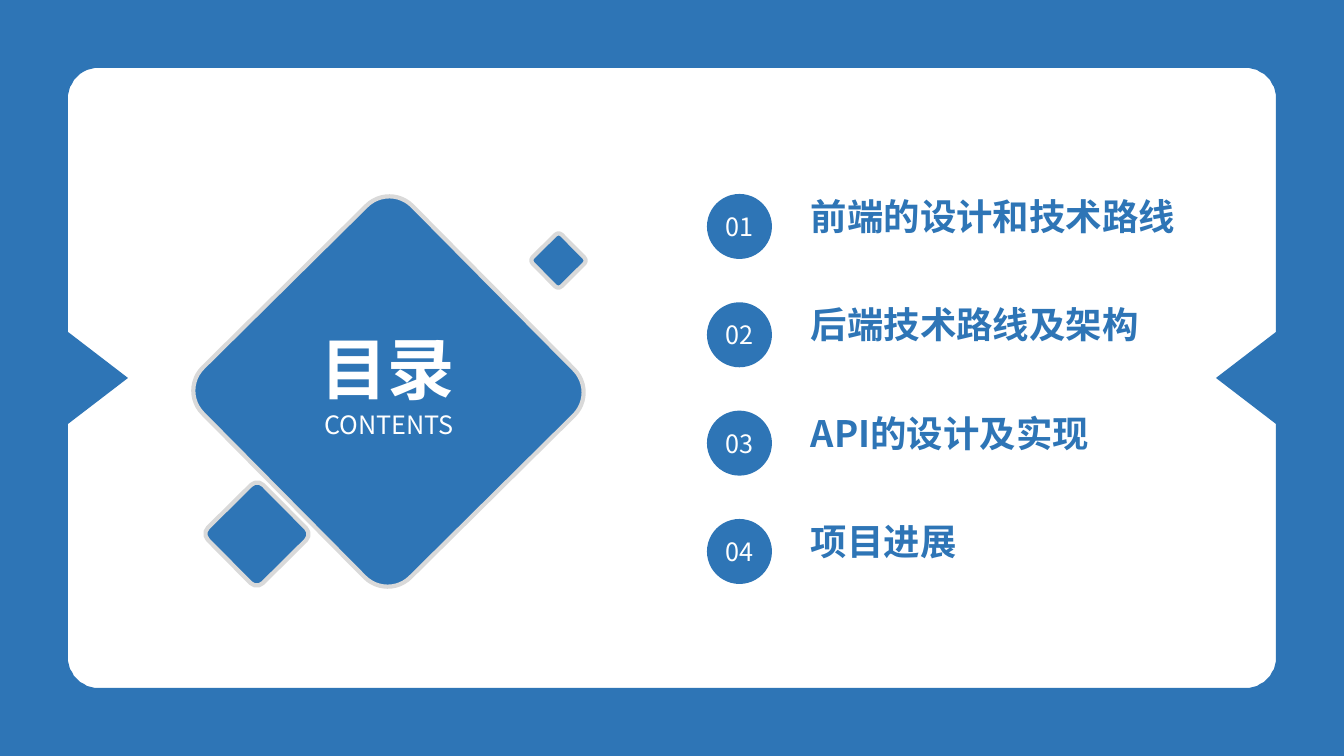
import math

import lxml.etree
import pptx
import pptx.dml.color
import pptx.enum.shapes
import pptx.enum.text
import pptx.oxml.ns
import pptx.util

PX = 914400 / 100.8
SLIDE_WIDTH, SLIDE_HEIGHT = 1344, 756
FONT = "Noto Sans CJK SC"
BLUE, WHITE, GREY = "2E75B6", "FFFFFF", "D9D9D9"
CHAPTERS = ["前端的设计和技术路线", "后端技术路线及架构", "API的设计及实现", "项目进展"]


def px(length):
    return pptx.util.Emu(round(length * PX))


def color(value):
    return pptx.dml.color.RGBColor.from_string(value)


def paint(shape, outline=None):
    shape.shadow.inherit = False
    shape.fill.solid()
    shape.fill.fore_color.rgb = color(BLUE)
    if outline:
        shape.line.color.rgb = color(outline)
        shape.line.width = pptx.util.Pt(3)
    else:
        shape.line.fill.background()


def write(frame, text, size, ink, bold=False, centred=False, spacing=None):
    paragraph = frame.paragraphs[0]
    paragraph.text = text
    if centred:
        paragraph.alignment = pptx.enum.text.PP_ALIGN.CENTER
    if spacing:
        paragraph.line_spacing = spacing
    font = paragraph.font
    font.name = FONT
    font.size = pptx.util.Pt(size)
    font.bold = bold
    font.color.rgb = color(ink)
    qn = pptx.oxml.ns.qn
    defaults = paragraph._p.find(qn("a:pPr")).find(qn("a:defRPr"))
    lxml.etree.SubElement(defaults, qn("a:ea")).set("typeface", FONT)


def add_text(slide, left, top, width, height, text, size, ink, **style):
    frame = slide.shapes.add_textbox(px(left), px(top), px(width), px(height)).text_frame
    frame.word_wrap = True
    frame.auto_size = pptx.enum.text.MSO_AUTO_SIZE.SHAPE_TO_FIT_TEXT
    write(frame, text, size, ink, **style)


def corner(x, y, radius, start):
    angles = [math.radians(start - step * 7.5) for step in range(13)]
    return [(x + radius * math.cos(a), y + radius * math.sin(a)) for a in angles]


def add_border(slide, width, height):
    margin, radius, notch_depth, notch_half = 68, 31, 60, 46
    right, bottom, middle = width - margin, height - margin, height / 2
    near, far_x, far_y = margin + radius, right - radius, bottom - radius
    window = (
        corner(near, near, radius, 270)
        + [(margin, middle - notch_half), (margin + notch_depth, middle), (margin, middle + notch_half)]
        + corner(near, far_y, radius, 180)
        + corner(far_x, far_y, radius, 90)
        + [(right, middle + notch_half), (right - notch_depth, middle), (right, middle - notch_half)]
        + corner(far_x, near, radius, 0)
    )
    border = slide.shapes.build_freeform(0, 0, scale=PX)
    border.add_line_segments([(width, 0), (width, height), (0, height)])
    border.move_to(*window[0])
    border.add_line_segments(window[1:])
    paint(border.convert_to_shape())


def add_diamond(slide, left, top, side):
    diamond = slide.shapes.add_shape(
        pptx.enum.shapes.MSO_SHAPE.ROUNDED_RECTANGLE, px(left), px(top), px(side), px(side))
    diamond.adjustments[0] = 0.11
    diamond.rotation = 315.3
    paint(diamond, GREY)


def add_heading(slide, left, top):
    add_diamond(slide, left + 50, top + 50, 295)
    add_text(slide, left + 106, top + 204, 184, 46, "CONTENTS", 18, WHITE, centred=True, spacing=1.2)
    add_text(slide, left + 119, top + 112, 156, 108, "目录", 48, WHITE,
             bold=True, centred=True, spacing=1.2)
    add_diamond(slide, left + 347, top + 46, 41)
    add_diamond(slide, left + 27, top + 301, 78)


def add_chapters(slide, left, top, width, height):
    badge_size, title_offset = 65, 94
    pitch = (height - badge_size) / (len(CHAPTERS) - 1)
    for index, chapter in enumerate(CHAPTERS):
        row_top = top + index * pitch
        badge = slide.shapes.add_shape(
            pptx.enum.shapes.MSO_SHAPE.OVAL, px(left), px(row_top), px(badge_size), px(badge_size))
        paint(badge)
        label = badge.text_frame
        label.margin_left = label.margin_right = label.margin_top = label.margin_bottom = 0
        label.word_wrap = False
        label.vertical_anchor = pptx.enum.text.MSO_ANCHOR.MIDDLE
        write(label, f"{index + 1:02d}", 18, WHITE, centred=True)
        add_text(slide, left + title_offset, row_top - 5, width - title_offset, 54,
                 chapter, 26, BLUE, bold=True)


def main():
    deck = pptx.Presentation()
    deck.slide_width, deck.slide_height = px(SLIDE_WIDTH), px(SLIDE_HEIGHT)
    contents = deck.slides.add_slide(deck.slide_layouts[6])
    add_border(contents, SLIDE_WIDTH, SLIDE_HEIGHT)
    add_heading(contents, 191, 194)
    add_chapters(contents, 707, 194, 550, 390)
    deck.save("out.pptx")


if __name__ == "__main__":
    main()
